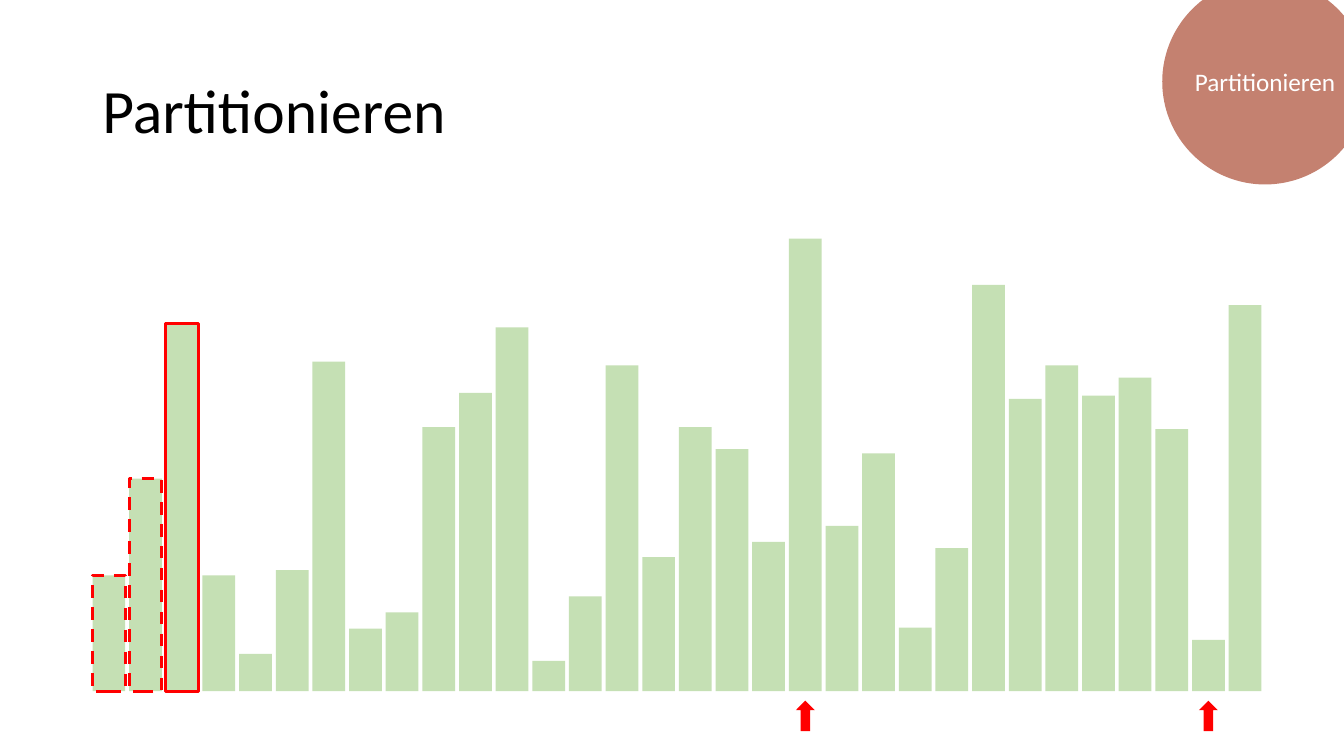
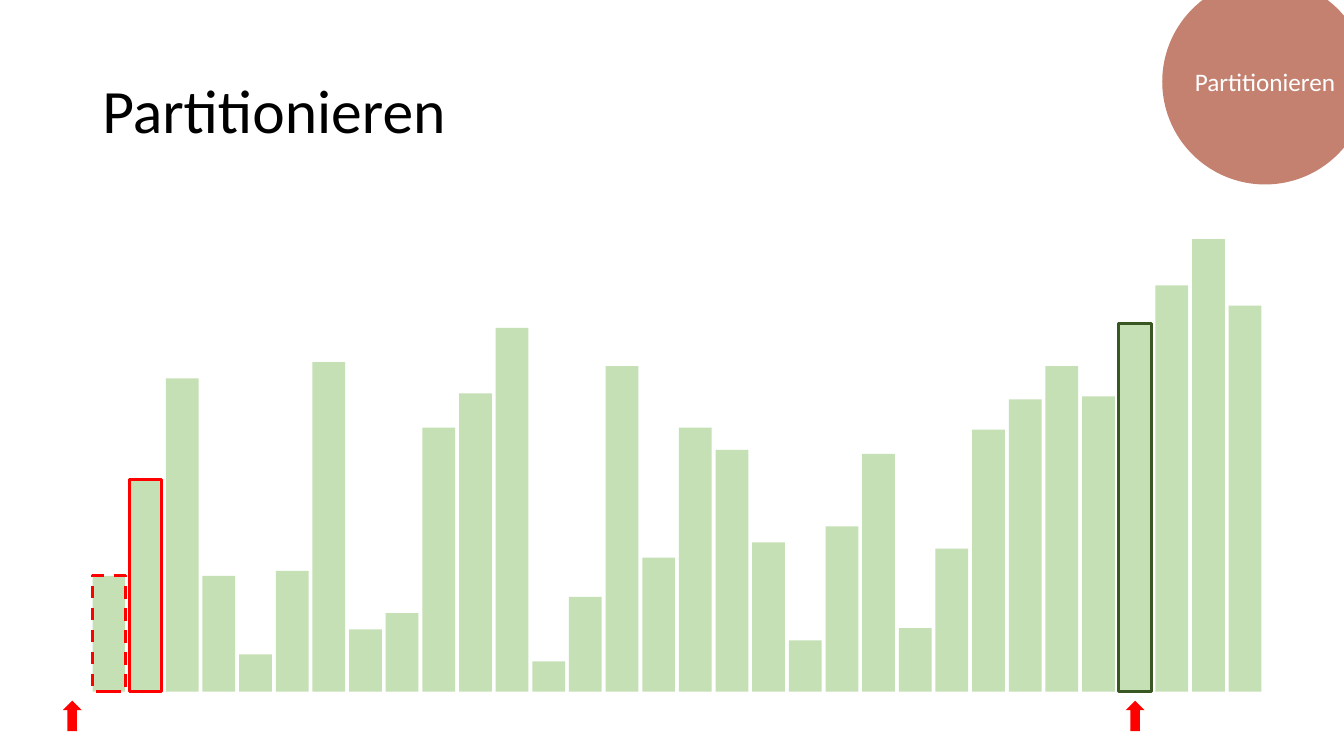
"""Build two slides that show the partition step of a sort as bars."""
from pptx import Presentation
from pptx.dml.color import RGBColor
from pptx.enum.dml import MSO_LINE
from pptx.enum.shapes import MSO_SHAPE
from pptx.enum.text import MSO_ANCHOR, PP_ALIGN
from pptx.util import Pt

RECT, OVAL, ARROW = MSO_SHAPE.RECTANGLE, MSO_SHAPE.OVAL, MSO_SHAPE.UP_ARROW
LEFT, CENTER, MIDDLE = PP_ALIGN.LEFT, PP_ALIGN.CENTER, MSO_ANCHOR.MIDDLE
SOLID, DASH = MSO_LINE.SOLID, MSO_LINE.DASH

COLORS = {"bar": "C5E0B4", "mark": "FF0000", "pivot": "385723",
          "badge": "C48170", "black": "000000", "white": "FFFFFF"}
FONT = "Calibri"
TITLE = "Partitionieren"

START = [82.8, 151.9, 262.8, 82.8, 26.6, 86.4, 235.4, 44.6,
         56.2, 188.6, 213.1, 259.9, 21.6, 67.7, 232.6, 95.8,
         188.6, 172.8, 106.6, 323.3, 118.1, 169.9, 45.4, 102.2,
         290.2, 208.8, 232.6, 211, 223.9, 187.2, 36.7, 275.8]

STEPS = [
    {"swaps": [],
     "frames": {0: ("mark", DASH), 1: ("mark", DASH), 2: ("mark", SOLID)},
     "arrows": [19, 30], "base": 493.7},
    {"swaps": [(2, 28), (19, 30), (24, 29)],
     "frames": {0: ("mark", DASH), 1: ("mark", SOLID), 28: ("pivot", SOLID)},
     "arrows": [-1, 28], "base": 494.1},
]

BAR_X, PITCH, BAR_W = 66.1, 26.18, 23.4
ARROW_Y, ARROW_W, ARROW_H = 500.5, 13.6, 21.8


def color(name):
    """Return the named colour."""
    return RGBColor.from_string(COLORS[name])


def write(shape, text, size, ink, align=LEFT, inset=7.2, space=1.0):
    """Put one formatted paragraph into a shape."""
    frame = shape.text_frame
    frame.word_wrap = True
    frame.vertical_anchor = MIDDLE
    frame.margin_left = frame.margin_right = Pt(inset)
    para = frame.paragraphs[0]
    para.alignment, para.line_spacing = align, space
    run = para.add_run()
    run.text = text
    run.font.name, run.font.size = FONT, Pt(size)
    run.font.color.rgb = color(ink)


def draw(slide, kind, x, y, w, h, fill, frame=None):
    """Add a flat shape with an optional (colour, dash) frame."""
    shape = slide.shapes.add_shape(kind, Pt(x), Pt(y), Pt(w), Pt(h))
    shape.shadow.inherit = False
    shape.fill.solid()
    shape.fill.fore_color.rgb = color(fill)
    if frame:
        ink, dash = frame
        shape.line.color.rgb = color(ink)
        shape.line.width = Pt(2.25)
        shape.line.dash_style = dash
    else:
        shape.line.fill.background()
    return shape


def add_head(slide):
    """Add the title and the corner badge."""
    title = slide.shapes.add_textbox(Pt(66), Pt(28.8), Pt(828), Pt(104.4))
    write(title, TITLE, 44, "black", space=0.9)
    badge = draw(slide, OVAL, 830.2, -15.1, 146.9, 146.9, "badge")
    write(badge, TITLE, 18, "white", align=CENTER, inset=0)


def add_step(slide, bars, step):
    """Add the bars of one step and the arrows below them."""
    for slot, high in enumerate(bars):
        draw(slide, RECT, BAR_X + slot * PITCH, step["base"] - high,
             BAR_W, high, "bar", step["frames"].get(slot))
    for slot in step["arrows"]:
        x = BAR_X + slot * PITCH + (BAR_W - ARROW_W) / 2
        draw(slide, ARROW, x, ARROW_Y, ARROW_W, ARROW_H, "mark")


def main():
    """Build and save the deck."""
    deck = Presentation()
    deck.slide_width, deck.slide_height = Pt(960), Pt(540)
    bars = list(START)
    for step in STEPS:
        for a, b in step["swaps"]:
            bars[a], bars[b] = bars[b], bars[a]
        slide = deck.slides.add_slide(deck.slide_layouts[6])
        add_head(slide)
        add_step(slide, bars, step)
    deck.save("out.pptx")


if __name__ == "__main__":
    main()
